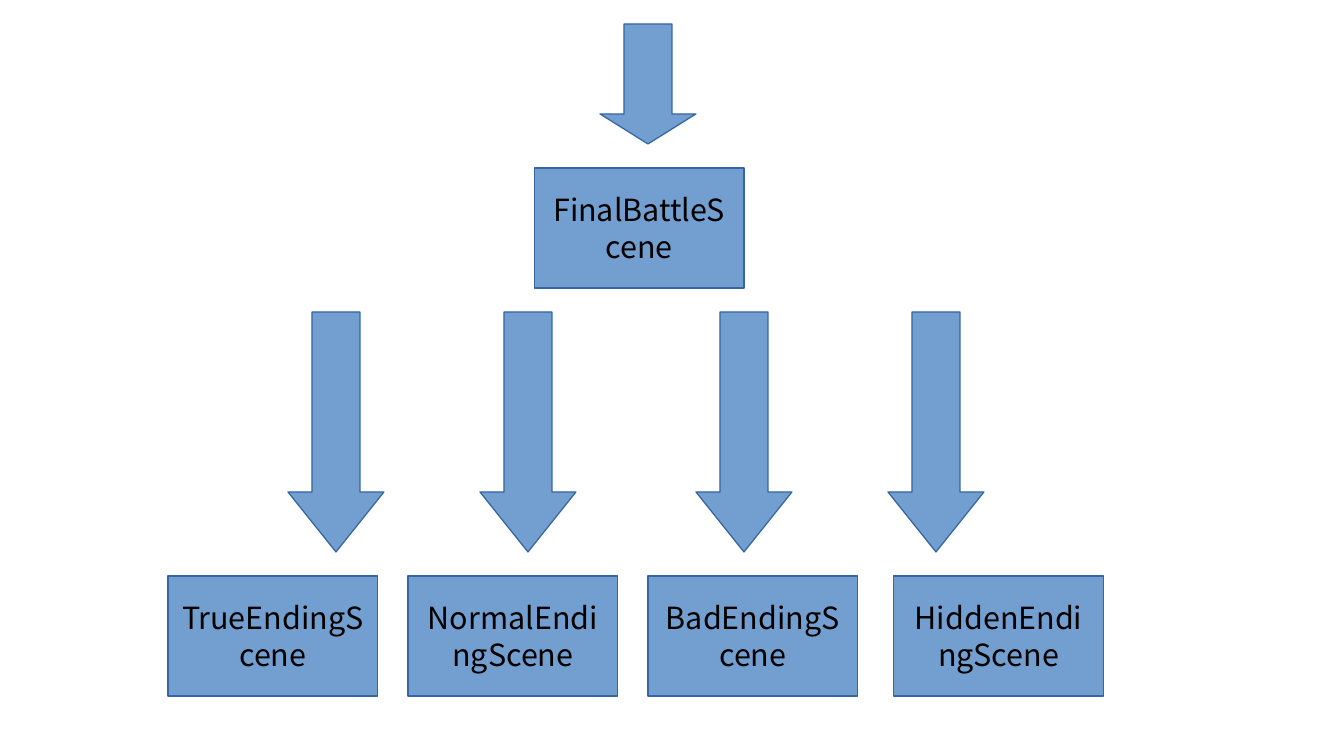
from pptx import Presentation
from pptx.dml.color import RGBColor
from pptx.enum.shapes import MSO_SHAPE as Kind
from pptx.enum.text import MSO_ANCHOR as Anchor, PP_ALIGN as Align
from pptx.util import Cm, Pt

BLUE = RGBColor(0x72, 0x9F, 0xCF)
EDGE = RGBColor(0x34, 0x65, 0xA4)
BLACK = RGBColor(0, 0, 0)
FONT = "Noto Sans CJK KR"
BOX_W, BOX_H = 4.37, 2.5
ARROW_W, HEAD_H = 2, 1.25
ENDINGS = [
    ("TrueEndingScene", 3.5, 6),
    ("NormalEndingScene", 8.5, 10),
    ("BadEndingScene", 13.5, 14.5),
    ("HiddenEndingScene", 18.62, 18.5),
]


def add_part(slide, kind, left, top, width, height):
    """Add a flat blue shape with a hairline edge."""
    part = slide.shapes.add_shape(kind, Cm(left), Cm(top), Cm(width), Cm(height))
    part.shadow.inherit = False
    part.fill.solid()
    part.fill.fore_color.rgb = BLUE
    part.line.color.rgb = EDGE
    part.line.width = Pt(0)
    return part


def add_scene(slide, name, left, top):
    """Add a box with the name of a scene."""
    frame = add_part(slide, Kind.RECTANGLE, left, top, BOX_W, BOX_H).text_frame
    frame.word_wrap = True
    frame.vertical_anchor = Anchor.MIDDLE
    frame.text = name
    line = frame.paragraphs[0]
    line.alignment = Align.CENTER
    font = line.runs[0].font
    font.name, font.size = FONT, Pt(18)
    font.color.rgb = BLACK


def add_arrow(slide, left, top, height):
    """Add a down arrow whose head is a quarter of its height."""
    arrow = add_part(slide, Kind.DOWN_ARROW, left, top, ARROW_W, height)
    arrow.adjustments[0] = 0.5
    arrow.adjustments[1] = height / 4 / ARROW_W


def add_battle(slide, left, top):
    """Add the final battle with the arrow that leads to it."""
    add_arrow(slide, left + 1.37, top, BOX_H)
    add_scene(slide, "FinalBattleScene", left, top + 3)


def add_endings(slide, top):
    """Add the row of endings, each below its own arrow."""
    for name, left, tip in ENDINGS:
        add_arrow(slide, tip, top, 5)
        add_scene(slide, name, left, top + 5.5)


def main():
    """Build and save the scene flow."""
    deck = Presentation()
    deck.slide_width, deck.slide_height = Cm(28), Cm(15.75)
    slide = deck.slides.add_slide(deck.slide_layouts[6])
    add_battle(slide, 11.13, 0.5)
    add_endings(slide, 6.5)
    deck.save("out.pptx")


if __name__ == "__main__":
    main()
